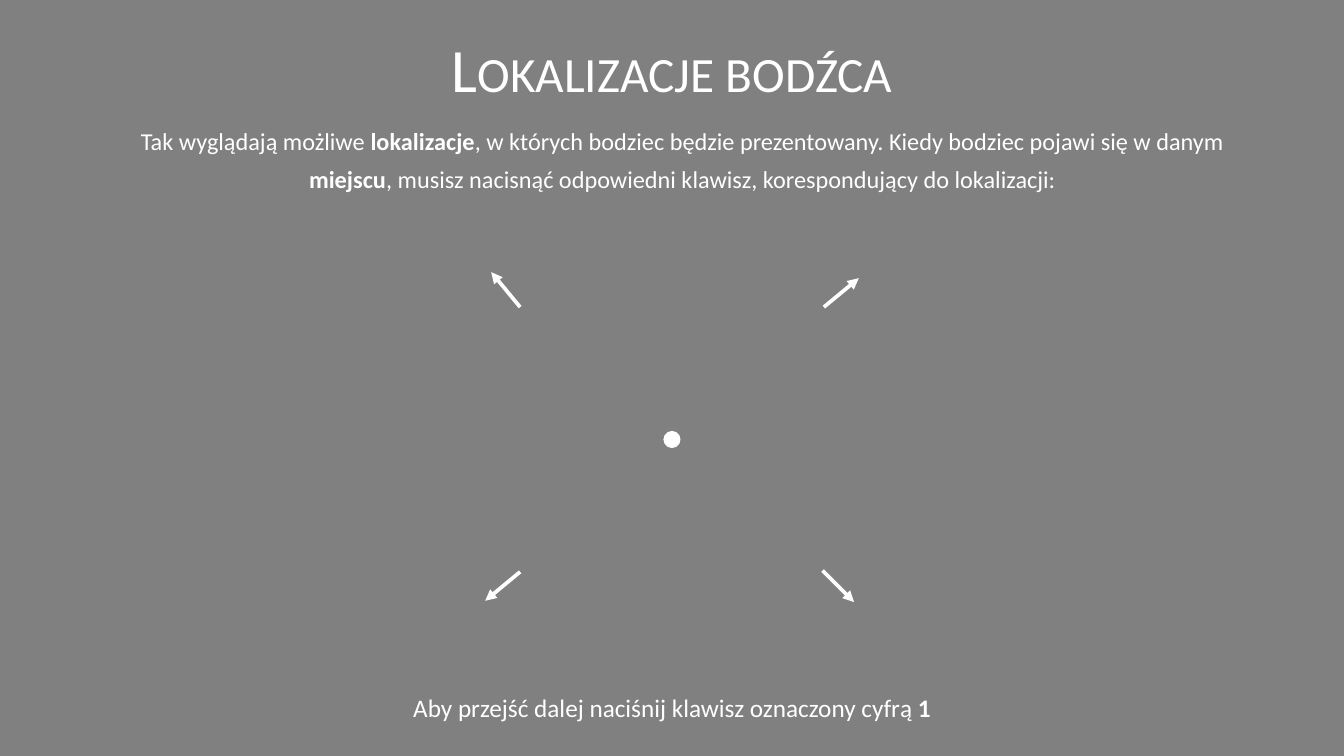
from dataclasses import dataclass

from lxml.etree import SubElement
from pptx import Presentation
from pptx.dml.color import RGBColor
from pptx.enum.shapes import MSO_CONNECTOR, MSO_SHAPE
from pptx.enum.text import MSO_ANCHOR as Anchor, PP_ALIGN as Align
from pptx.oxml.ns import qn
from pptx.slide import Slide
from pptx.util import Inches, Pt

WHITE = "FFFFFF"
GREY = "808080"
FONT = "Calibri"
BLANK_LAYOUT = 6


@dataclass(frozen=True)
class TextBlock:
    left: float
    top: float
    width: float
    height: float
    pieces: tuple[str, ...]  # regular and bold pieces alternate
    size: float
    line_spacing: float = 1.0
    anchor: Anchor = Anchor.TOP
    small_caps: bool = False


@dataclass(frozen=True)
class Arrow:
    start: tuple[float, float]
    end: tuple[float, float]


TEXT_BLOCKS = (
    TextBlock(2.5, 0.43, 15, 1.19, ("Lokalizacje bodźca",), 66,
              line_spacing=0.9, anchor=Anchor.BOTTOM, small_caps=True),
    TextBlock(1.83, 1.7, 16.66, 8.11, (
        "Tak wyglądają możliwe ",
        "lokalizacje",
        ", w których bodziec będzie prezentowany. Kiedy bodziec pojawi się w danym ",
        "miejscu",
        ", musisz nacisnąć odpowiedni klawisz, korespondujący do lokalizacji:",
    ), 26, line_spacing=1.3),
    TextBlock(5, 10.26, 10, 0.56,
              ("Aby przejść dalej naciśnij klawisz oznaczony cyfrą ", "1"), 27),
)

ARROWS = (
    Arrow((7.74, 4.57), (7.31, 4.05)),
    Arrow((12.26, 4.57), (12.78, 4.14)),
    Arrow((12.24, 8.49), (12.71, 8.96)),
    Arrow((7.74, 8.51), (7.22, 8.94)),
)


def color(value: str) -> RGBColor:
    return RGBColor.from_string(value)


def add_text(slide: Slide, block: TextBlock) -> None:
    shape = slide.shapes.add_textbox(Inches(block.left), Inches(block.top),
                                     Inches(block.width), Inches(block.height))
    text_frame = shape.text_frame
    text_frame.word_wrap = True
    text_frame.vertical_anchor = block.anchor
    paragraph = text_frame.paragraphs[0]
    paragraph.alignment = Align.CENTER
    paragraph.line_spacing = block.line_spacing
    for index, piece in enumerate(block.pieces):
        run = paragraph.add_run()
        run.text = piece
        run.font.name = FONT
        run.font.size = Pt(block.size)
        run.font.bold = index % 2 == 1
        run.font.color.rgb = color(WHITE)
        if block.small_caps:
            run.font._element.set("cap", "small")


def add_fixation_dot(slide: Slide, left: float, top: float, size: float) -> None:
    shape = slide.shapes.add_shape(MSO_SHAPE.OVAL, Inches(left), Inches(top),
                                   Inches(size), Inches(size))
    shape.shadow.inherit = False
    shape.fill.solid()
    shape.fill.fore_color.rgb = color(WHITE)
    shape.line.color.rgb = color(WHITE)
    shape.line.width = Pt(1)


def add_arrow(slide: Slide, arrow: Arrow) -> None:
    points = [Inches(value) for value in arrow.start + arrow.end]
    connector = slide.shapes.add_connector(MSO_CONNECTOR.STRAIGHT, *points)
    connector.line.color.rgb = color(WHITE)
    connector.line.width = Pt(4)
    SubElement(connector.line._get_or_add_ln(), qn("a:tailEnd"), type="triangle")
    SubElement(connector._element.spPr, qn("a:effectLst"))


def main() -> None:
    presentation = Presentation()
    presentation.slide_width = Inches(20)
    presentation.slide_height = Inches(11.25)
    slide = presentation.slides.add_slide(presentation.slide_layouts[BLANK_LAYOUT])
    slide.background.fill.solid()
    slide.background.fill.fore_color.rgb = color(GREY)

    # Title, instruction and prompt
    for block in TEXT_BLOCKS:
        add_text(slide, block)

    # Fixation dot with arrows to the four stimulus locations
    add_fixation_dot(slide, 9.88, 6.42, 0.24)
    for arrow in ARROWS:
        add_arrow(slide, arrow)

    presentation.save("out.pptx")


if __name__ == "__main__":
    main()
